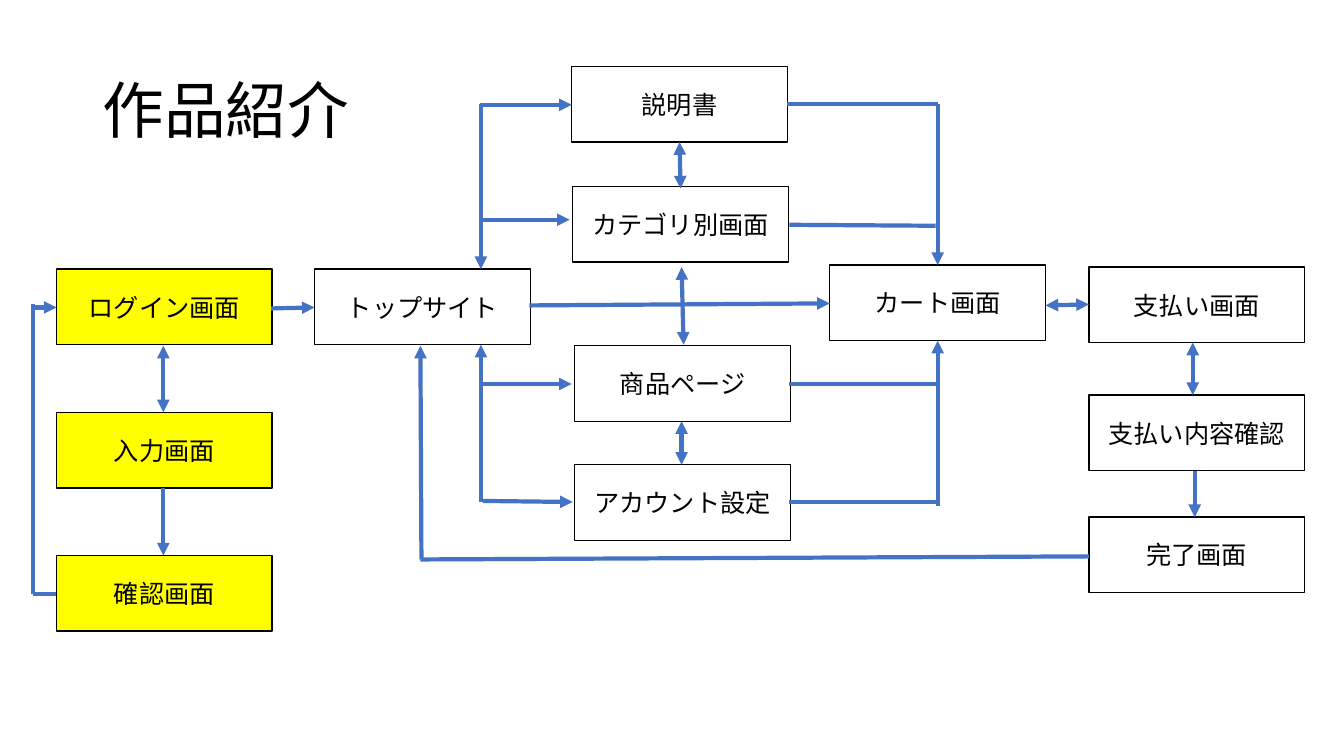
from lxml.etree import SubElement as Sub
from pptx import Presentation
from pptx.dml.color import RGBColor as Rgb
from pptx.enum.shapes import MSO_CONNECTOR as Conn, MSO_SHAPE as Shape
from pptx.enum.text import MSO_ANCHOR as Anchor, PP_ALIGN as Align
from pptx.oxml.ns import qn
from pptx.util import Inches, Pt

FONT = "Noto Sans CJK JP"
BLACK, WHITE, YELLOW, BLUE = "000000", "FFFFFF", "FFFF00", "4472C4"
BOX_W, BOX_H = 2.14, 0.75

BOXES = [
    ("ログイン画面", 0.56, 2.67, YELLOW),
    ("入力画面", 0.56, 4.09, YELLOW),
    ("確認画面", 0.56, 5.51, YELLOW),
    ("トップサイト", 3.12, 2.67, WHITE),
    ("説明書", 5.67, 0.66, WHITE),
    ("カテゴリ別画面", 5.68, 1.85, WHITE),
    ("商品ページ", 5.7, 3.43, WHITE),
    ("アカウント設定", 5.7, 4.61, WHITE),
    ("カート画面", 8.23, 2.63, WHITE),
    ("支払い画面", 10.8, 2.65, WHITE),
    ("支払い内容確認", 10.8, 3.92, WHITE),
    ("完了画面", 10.8, 5.13, WHITE),
]

PLAIN = [
    (0.33, 5.89, 0.56, 5.89),
    (0.33, 3.02, 0.33, 5.89),
    (4.17, 5.55, 10.8, 5.52),
    (7.81, 1.03, 9.3, 1.03),
    (7.83, 2.23, 9.28, 2.24),
    (7.83, 3.81, 9.3, 3.81),
    (7.83, 4.98, 9.28, 4.98),
]

ONE_WAY = [
    (0.33, 3.05, 0.56, 3.05),
    (1.62, 4.84, 1.62, 5.51),
    (2.69, 3.06, 3.12, 3.05),
    (4.18, 5.55, 4.17, 3.43),
    (4.77, 1.03, 4.77, 2.67),
    (4.77, 4.98, 4.77, 3.42),
    (4.76, 1.04, 5.67, 1.04),
    (4.78, 2.18, 5.65, 2.18),
    (4.78, 3.81, 5.67, 3.81),
    (4.79, 4.97, 5.68, 4.98),
    (5.25, 3.03, 8.23, 3.01),
    (9.3, 1.03, 9.3, 2.63),
    (9.3, 5.02, 9.3, 3.38),
    (11.85, 4.67, 11.85, 5.13),
]

TWO_WAY = [
    (1.62, 3.43, 1.62, 4.09),
    (6.74, 1.41, 6.75, 1.87),
    (6.76, 2.65, 6.78, 3.42),
    (6.76, 4.18, 6.76, 4.61),
    (10.37, 3.03, 10.8, 3.02),
    (11.83, 3.92, 11.83, 3.4),
]


def paint(color, code):
    color.rgb = Rgb.from_string(code)


def write(frame, text, size, align):
    frame.word_wrap = True
    frame.vertical_anchor = Anchor.MIDDLE
    para = frame.paragraphs[0]
    para.text = text
    para.alignment = align
    font = para.font
    font.size = Pt(size)
    font.name = FONT
    paint(font.color, BLACK)
    Sub(para._p.pPr.find(qn("a:defRPr")), qn("a:ea"), typeface=FONT)
    return para


def add_title(slide, text):
    box = slide.shapes.add_textbox(
        Inches(0.92), Inches(0.4), Inches(11.5), Inches(1.45))
    write(box.text_frame, text, 44, Align.LEFT).line_spacing = 0.9


def add_box(slide, text, left, top, fill):
    box = slide.shapes.add_shape(
        Shape.RECTANGLE, Inches(left), Inches(top),
        Inches(BOX_W), Inches(BOX_H))
    box.shadow.inherit = False
    box.fill.solid()
    paint(box.fill.fore_color, fill)
    paint(box.line.color, BLACK)
    box.line.width = Pt(1)
    write(box.text_frame, text, 18, Align.CENTER)


def add_line(slide, ends, heads=()):
    link = slide.shapes.add_connector(
        Conn.STRAIGHT, *[Inches(end) for end in ends])
    paint(link.line.color, BLUE)
    link.line.width = Pt(3)
    for head in heads:
        Sub(link.line._get_or_add_ln(), qn(head), type="triangle")
    Sub(link._element.spPr, qn("a:effectLst"))


def main():
    deck = Presentation()
    deck.slide_width = Inches(13.33)
    deck.slide_height = Inches(7.5)
    slide = deck.slides.add_slide(deck.slide_layouts[6])
    add_title(slide, "作品紹介")
    for box in BOXES:
        add_box(slide, *box)
    for group, heads in (
        (PLAIN, ()),
        (ONE_WAY, ("a:tailEnd",)),
        (TWO_WAY, ("a:headEnd", "a:tailEnd")),
    ):
        for ends in group:
            add_line(slide, ends, heads)
    deck.save("out.pptx")


main()
